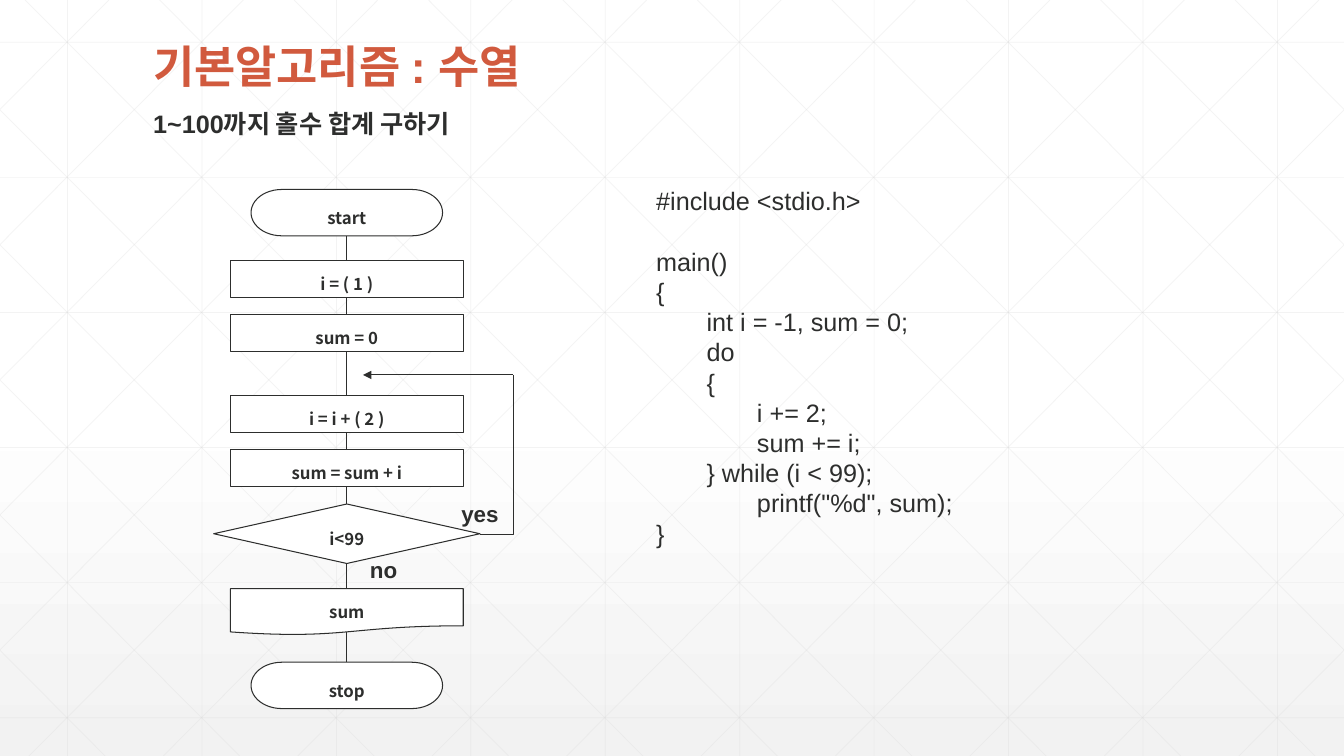
import dataclasses

import lxml.etree
import pptx
import pptx.dml.color
import pptx.enum.shapes
import pptx.enum.text
import pptx.oxml.ns
import pptx.util

Inches = pptx.util.Inches
Pt = pptx.util.Pt
Kind = pptx.enum.shapes.MSO_SHAPE
Link = pptx.enum.shapes.MSO_CONNECTOR
Align = pptx.enum.text.PP_ALIGN
Anchor = pptx.enum.text.MSO_ANCHOR
qn = pptx.oxml.ns.qn


@dataclasses.dataclass(frozen=True)
class Theme:
    ink: str = "2D2E2D"
    title: str = "D15A3E"
    paper: str = "FFFFFF"
    shade: str = "F2F2F2"
    grid: str = "D9D9D9"
    latin: str = "Arial"
    asian: str = "Noto Sans CJK KR"
    head: int = 32
    body: int = 18
    mark: int = 16
    node: int = 12
    thin: float = 0.5
    edge: float = 0.75


WIDE, HIGH = 13.33, 7.5
AXIS = 3.44
STEP = 4 / 3
SLANT = 7.46 / HIGH

ENDS = [("start", 1.88), ("stop", 6.57)]
STEPS = [("i = ( 1 )", 2.58), ("sum = 0", 3.12), ("i = i + ( 2 )", 3.92), ("sum = sum + i", 4.46)]
CODE = """main()
{
\tint i = -1, sum = 0;
\tdo
\t{
\t\ti += 2;
\t\tsum += i;
\t} while (i < 99);
\t\tprintf("%d", sum);
}"""


def paint(text):
    return pptx.dml.color.RGBColor.from_string(text)


def write(frame, text, *, size, color, font, asian, bold=False, align=Align.LEFT,
          lead=None, before=0, more=False):
    for i, line in enumerate(text.split("\n")):
        para = frame.add_paragraph() if more or i else frame.paragraphs[0]
        para.alignment = align
        para.line_spacing = lead
        para.space_before = Pt(0 if i else before)
        run = para.add_run()
        run.text = line
        run.font.size = Pt(size)
        run.font.bold = bold
        run.font.name = font
        run.font.color.rgb = paint(color)
        props = run._r.get_or_add_rPr()
        lxml.etree.SubElement(props, qn("a:ea"), typeface=asian)


class Board:
    def __init__(self, slide, theme):
        self.slide = slide
        self.theme = theme

    def ground(self):
        fill = self.slide.background.fill
        fill.gradient()
        fill.gradient_angle = 270
        tones = [(0.53, self.theme.paper), (1, self.theme.shade)]
        for stop, (place, color) in zip(fill.gradient_stops, tones):
            stop.position = place
            stop.color.rgb = paint(color)

    def line(self, start, end, color=None, width=None, kind=Link.STRAIGHT, alpha=None, arrow=False):
        points = [Inches(v) for v in (*start, *end)]
        link = self.slide.shapes.add_connector(kind, *points)
        link.line.color.rgb = paint(color or self.theme.ink)
        link.line.width = Pt(width or self.theme.edge)
        props = link.element.spPr
        if alpha:
            tone = props.find(".//" + qn("a:srgbClr"))
            lxml.etree.SubElement(tone, qn("a:alpha"), val=str(alpha * 1000))
        if arrow:
            lxml.etree.SubElement(props.find(qn("a:ln")), qn("a:tailEnd"), type="triangle")
        lxml.etree.SubElement(props, qn("a:effectLst"))
        return link

    def hair(self, start, end):
        self.line(start, end, self.theme.grid, self.theme.thin, alpha=30)

    def mesh(self):
        for i in range(10):
            x = 0.67 + i * STEP
            self.hair((x, 0), (x, HIGH))
        for i in range(6):
            y = 0.42 + i * 1.34
            self.hair((0, y), (WIDE, y))
        for i in range(-5, 10):
            x = 0.25 + i * STEP
            left, right = max(x, 0), min(x + HIGH * SLANT, WIDE)
            top, base = (left - x) / SLANT, (right - x) / SLANT
            self.hair((left, top), (right, base))
            self.hair((WIDE - left, top), (WIDE - right, base))

    def node(self, kind, text, top, width, height):
        box = self.slide.shapes.add_shape(
            kind, Inches(AXIS - width / 2), Inches(top), Inches(width), Inches(height))
        box.shadow.inherit = False
        box.fill.solid()
        box.fill.fore_color.rgb = paint(self.theme.paper)
        box.line.color.rgb = paint(self.theme.ink)
        box.line.width = Pt(self.theme.edge)
        frame = box.text_frame
        frame.margin_left = frame.margin_right = frame.margin_top = frame.margin_bottom = 0
        frame.vertical_anchor = Anchor.MIDDLE
        frame.word_wrap = True
        write(frame, text, size=self.theme.node, color=self.theme.ink, font=self.theme.asian,
              asian=self.theme.asian, bold=True, align=Align.CENTER, lead=1.5, before=2.4)
        return box

    def label(self, text, left, top, width, height, size, color=None, wrap=True, **form):
        box = self.slide.shapes.add_textbox(
            Inches(left), Inches(top), Inches(width), Inches(height))
        box.text_frame.word_wrap = wrap
        self.add(box, text, size, color, **form)
        return box

    def add(self, box, text, size, color=None, **form):
        write(box.text_frame, text, size=size, color=color or self.theme.ink,
              font=self.theme.latin, asian=self.theme.asian, **form)


def main():
    deck = pptx.Presentation()
    deck.slide_width, deck.slide_height = Inches(WIDE), Inches(HIGH)
    theme = Theme()
    board = Board(deck.slides.add_slide(deck.slide_layouts[6]), theme)
    board.ground()
    board.mesh()

    board.label("기본알고리즘 : 수열", 1.42, 0.39, 10.5, 0.61, theme.head, theme.title,
                bold=True, lead=0.9)
    board.label("1~100까지 홀수 합계 구하기", 1.42, 1.03, 10.5, 0.4, theme.body, bold=True)

    start, stop = [board.node(Kind.FLOWCHART_TERMINATOR, text, top, 1.9, 0.46)
                   for text, top in ENDS]
    spine = board.line((AXIS, 2.34), (AXIS, 6.57))
    spine.begin_connect(start, 2)
    spine.end_connect(stop, 0)
    for text, top in STEPS:
        board.node(Kind.RECTANGLE, text, top, 2.31, 0.37)
    board.node(Kind.FLOWCHART_DOCUMENT, "sum", 5.84, 2.31, 0.46)
    board.node(Kind.DIAMOND, "i<99", 5, 2.64, 0.59)

    bend = board.line((4.76, 5.3), (5.09, 3.72), kind=Link.ELBOW)
    bend.element.spPr.find(qn("a:prstGeom")).set("prst", "bentConnector2")
    board.line((5.09, 3.72), (3.6, 3.72), arrow=True)
    for text, left, top, width in [("yes", 4.4, 4.91, 0.72), ("no", 3.49, 5.47, 0.63)]:
        board.label(text, left, top, width, 0.42, theme.mark, wrap=False,
                    bold=True, align=Align.CENTER)

    lead = Pt(21.6)
    code = board.label("#include <stdio.h>", 6.41, 1.79, 6.67, 3.74, theme.body, lead=lead)
    board.add(code, CODE, theme.body, lead=lead, before=21.6, more=True)
    deck.save("out.pptx")


if __name__ == "__main__":
    main()
